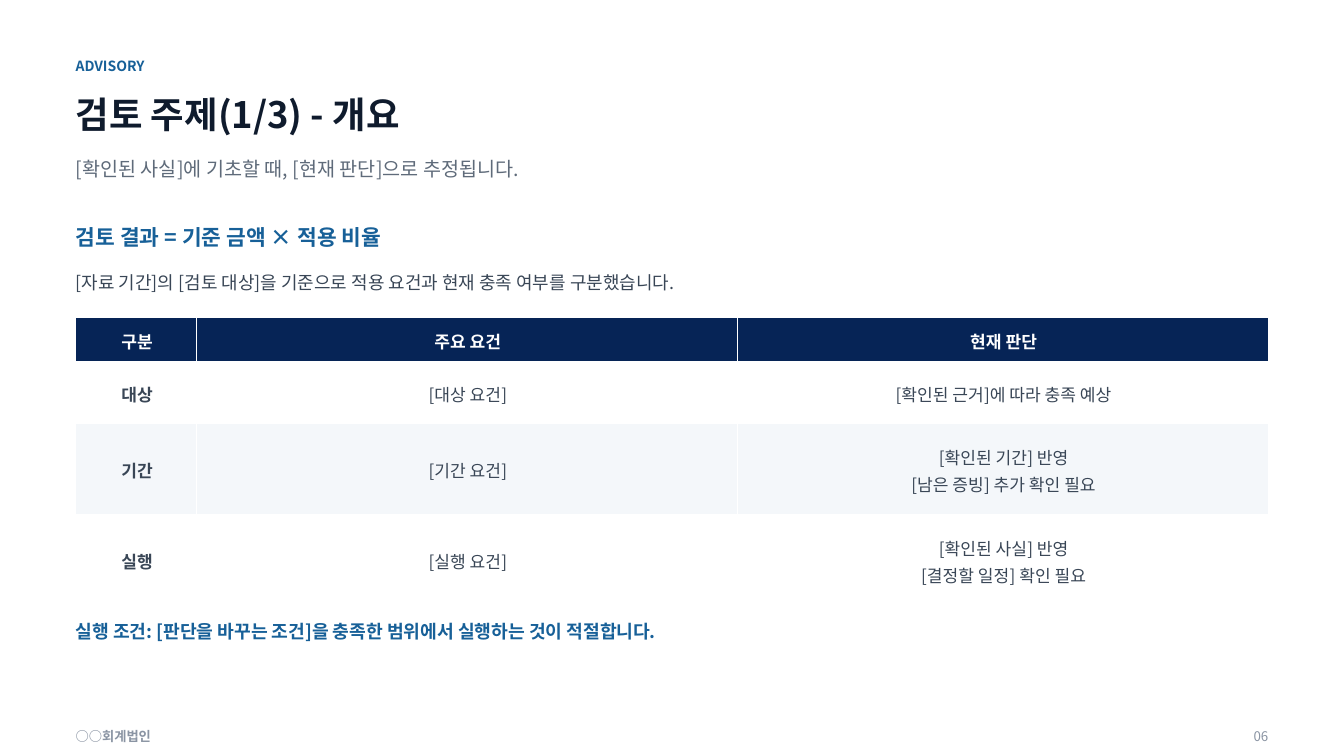
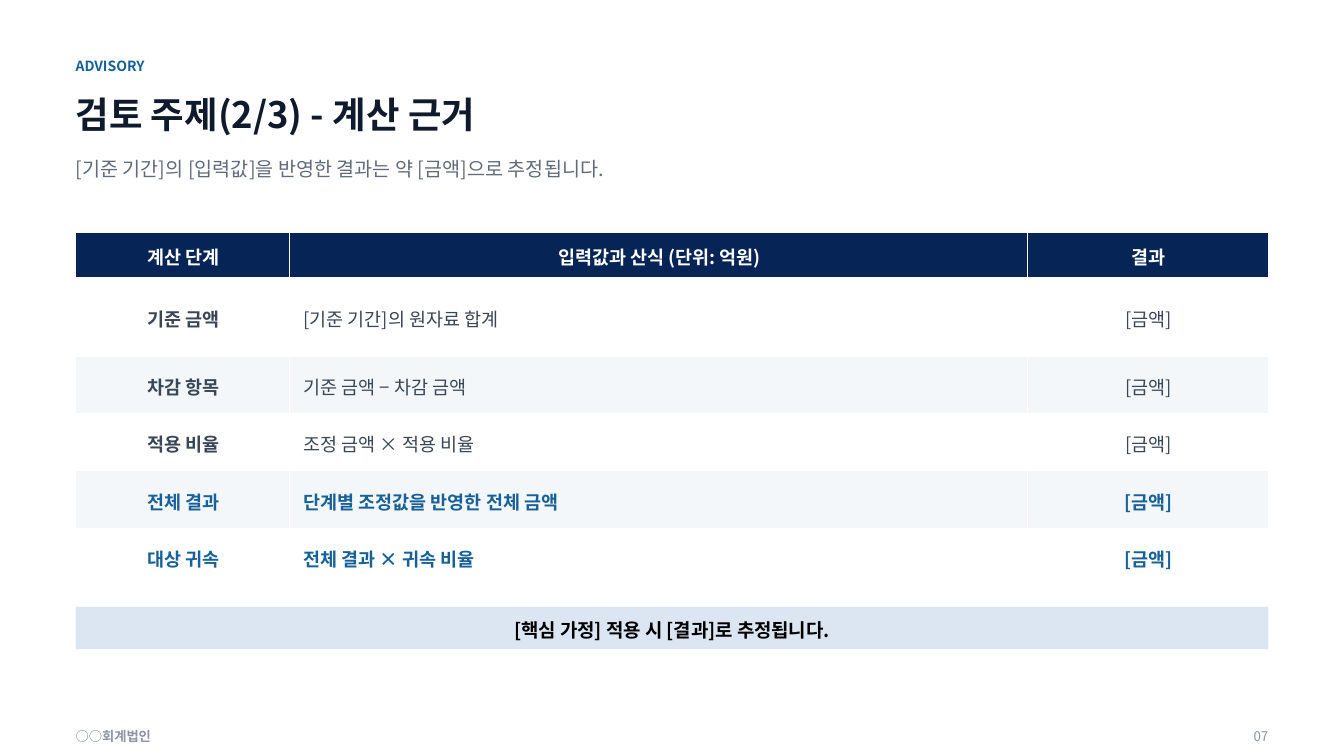
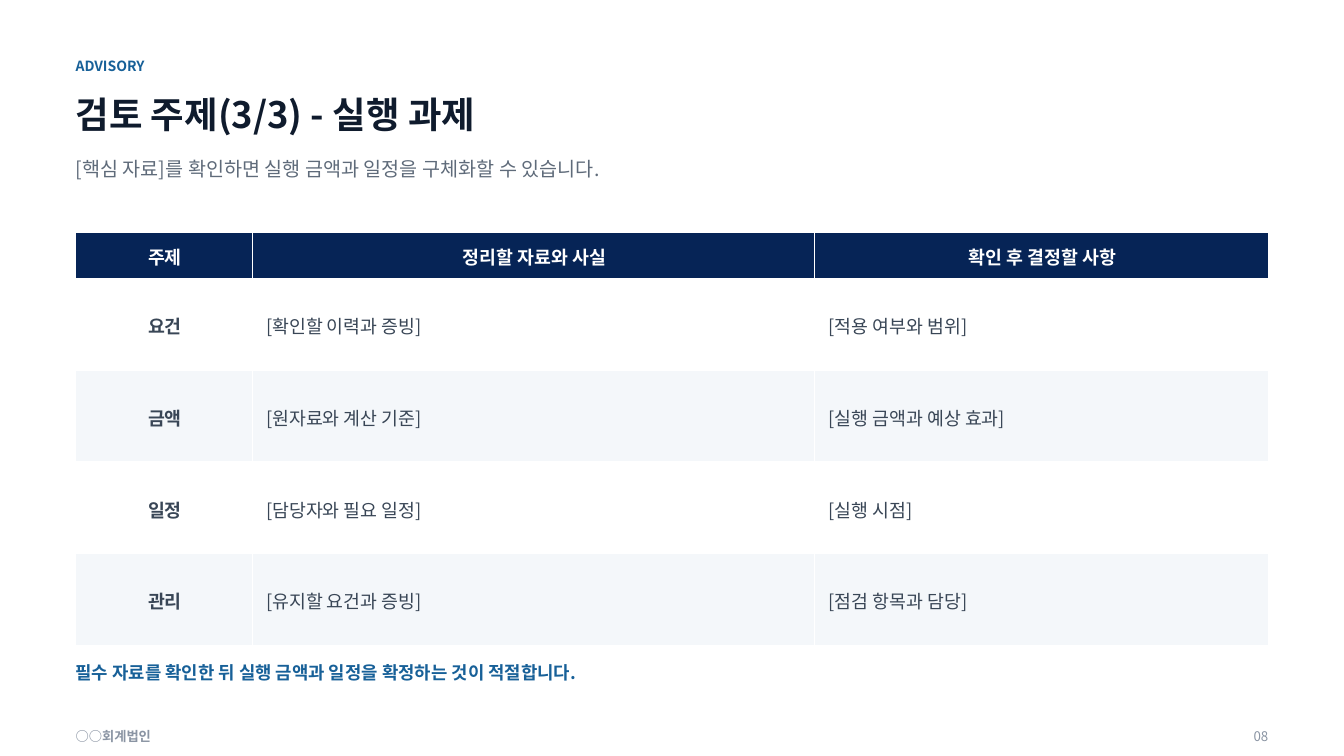
from lxml import etree
from pptx import Presentation
from pptx.dml.color import RGBColor
from pptx.enum.shapes import MSO_SHAPE
from pptx.enum.text import MSO_ANCHOR, MSO_AUTO_SIZE, PP_ALIGN
from pptx.oxml.ns import qn
from pptx.util import Pt

LEFT, CENTER, RIGHT = PP_ALIGN.LEFT, PP_ALIGN.CENTER, PP_ALIGN.RIGHT
TOP, MIDDLE = MSO_ANCHOR.TOP, MSO_ANCHOR.MIDDLE
RECTANGLE = MSO_SHAPE.RECTANGLE
NO_AUTOFIT = MSO_AUTO_SIZE.NONE
TITLE_ONLY = 5

PX = 9144  # 100 px to the inch
SLIDE_WIDTH, SLIDE_HEIGHT = 1333, 750
MARGIN, CONTENT_WIDTH = 75, 1183
CELL_INSETS = (14, 7, 12, 6)

FONT = "Noto Sans CJK KR"
NAVY, BLUE, PALE_BLUE = "062456", "176098", "DCE6F2"
INK, BODY, MUTED, FAINT = "0F1B2D", "394656", "5F6B7A", "8A94A3"
WHITE, STRIPE, BLACK = "FFFFFF", "F4F7FA", "000000"

SLIDES = [
    {
        "title": "검토 주제(1/3) - 개요",
        "summary": "[확인된 사실]에 기초할 때, [현재 판단]으로 추정됩니다.",
        "number": "06",
        "notes": [
            (218, 35, 15.3, BLUE, True, "검토 결과 = 기준 금액 × 적용 비율"),
            (266, 36, 12.8, BODY, False,
             "[자료 기간]의 [검토 대상]을 기준으로 적용 요건과 현재 충족 여부를 구분했습니다."),
            (612, 34, 13, BLUE, True,
             "실행 조건: [판단을 바꾸는 조건]을 충족한 범위에서 실행하는 것이 적절합니다."),
        ],
        "table_top": 315,
        "columns": [120, 536, 527],
        "row_heights": [43, 62, 90, 90],
        "alignments": [CENTER, CENTER, CENTER],
        "size": 12.2,
        "rows": [
            ["구분", "주요 요건", "현재 판단"],
            ["대상", "[대상 요건]", "[확인된 근거]에 따라 충족 예상"],
            ["기간", "[기간 요건]", "[확인된 기간] 반영\n[남은 증빙] 추가 확인 필요"],
            ["실행", "[실행 요건]", "[확인된 사실] 반영\n[결정할 일정] 확인 필요"],
        ],
    },
    {
        "title": "검토 주제(2/3) - 계산 근거",
        "summary": "[기준 기간]의 [입력값]을 반영한 결과는 약 [금액]으로 추정됩니다.",
        "number": "07",
        "banner": "[핵심 가정] 적용 시 [결과]로 추정됩니다.",
        "table_top": 230,
        "columns": [212, 732, 239],
        "row_heights": [45, 78] + [57] * 4,
        "alignments": [CENTER, LEFT, CENTER],
        "size": 13.2,
        "highlighted": [4, 5],
        "rows": [
            ["계산 단계", "입력값과 산식 (단위: 억원)", "결과"],
            ["기준 금액", "[기준 기간]의 원자료 합계", "[금액]"],
            ["차감 항목", "기준 금액 − 차감 금액", "[금액]"],
            ["적용 비율", "조정 금액 × 적용 비율", "[금액]"],
            ["전체 결과", "단계별 조정값을 반영한 전체 금액", "[금액]"],
            ["대상 귀속", "전체 결과 × 귀속 비율", "[금액]"],
        ],
    },
    {
        "title": "검토 주제(3/3) - 실행 과제",
        "summary": "[핵심 자료]를 확인하면 실행 금액과 일정을 구체화할 수 있습니다.",
        "number": "08",
        "notes": [
            (653, 38, 12.7, BLUE, True,
             "필수 자료를 확인한 뒤 실행 금액과 일정을 확정하는 것이 적절합니다."),
        ],
        "table_top": 230,
        "columns": [175, 558, 450],
        "row_heights": [46] + [91] * 4,
        "alignments": [CENTER, LEFT, LEFT],
        "size": 13.1,
        "rows": [
            ["주제", "정리할 자료와 사실", "확인 후 결정할 사항"],
            ["요건", "[확인할 이력과 증빙]", "[적용 여부와 범위]"],
            ["금액", "[원자료와 계산 기준]", "[실행 금액과 예상 효과]"],
            ["일정", "[담당자와 필요 일정]", "[실행 시점]"],
            ["관리", "[유지할 요건과 증빙]", "[점검 항목과 담당]"],
        ],
    },
]


def color(value):
    return RGBColor.from_string(value)


def write_text(frame, text, *, size, fill, bold=False, align=LEFT,
               spacing=1.15, space_after=3):
    """Fill a text frame, one paragraph to each line of text."""
    frame.text = text
    frame.word_wrap = True
    for paragraph in frame.paragraphs:
        paragraph.alignment = align
        paragraph.line_spacing = spacing
        paragraph.space_before = Pt(0)
        paragraph.space_after = Pt(space_after)
        for run in paragraph.runs:
            run.font.size = Pt(size)
            run.font.bold = bold
            run.font.color.rgb = color(fill)
            run.font.name = FONT
            properties = run._r.get_or_add_rPr()
            etree.SubElement(properties, qn("a:ea"), typeface=FONT)


presentation = Presentation()
presentation.slide_width = SLIDE_WIDTH * PX
presentation.slide_height = SLIDE_HEIGHT * PX

for content in SLIDES:
    slide = presentation.slides.add_slide(presentation.slide_layouts[TITLE_ONLY])

    title = slide.shapes.title
    title.left, title.top = MARGIN * PX, 85 * PX
    title.width, title.height = CONTENT_WIDTH * PX, 60 * PX
    frame = title.text_frame
    frame.auto_size = NO_AUTOFIT
    frame.vertical_anchor = TOP
    frame.margin_left = frame.margin_top = frame.margin_right = frame.margin_bottom = 0
    write_text(frame, content["title"], size=26, fill=INK, bold=True)

    labels = [
        (MARGIN, 55, 900, 25, "ADVISORY", dict(size=10, fill=BLUE, bold=True)),
        (MARGIN, 152, CONTENT_WIDTH, 63, content["summary"], dict(size=14, fill=MUTED)),
        (MARGIN, 720, 600, 22, "○○회계법인",
         dict(size=9.5, fill=FAINT, bold=True, space_after=0)),
        (MARGIN + CONTENT_WIDTH - 100, 720, 100, 22, content["number"],
         dict(size=9.5, fill=FAINT, align=RIGHT, space_after=2)),
    ]
    for top, height, size, fill, bold, text in content.get("notes", []):
        labels.append((MARGIN, top, CONTENT_WIDTH, height, text,
                       dict(size=size, fill=fill, bold=bold)))
    for left, top, width, height, text, text_format in labels:
        label = slide.shapes.add_textbox(left * PX, top * PX, width * PX, height * PX)
        frame = label.text_frame
        frame.margin_left = frame.margin_top = frame.margin_right = frame.margin_bottom = 0
        write_text(frame, text, **text_format)

    rows, columns, row_heights = content["rows"], content["columns"], content["row_heights"]
    table = slide.shapes.add_table(
        len(rows), len(columns), MARGIN * PX, content["table_top"] * PX,
        sum(columns) * PX, sum(row_heights) * PX).table
    table.horz_banding = False
    for column, width in zip(table.columns, columns):
        column.width = width * PX
    for row_index, row in enumerate(rows):
        table.rows[row_index].height = row_heights[row_index] * PX
        is_header = row_index == 0
        is_highlighted = row_index in content.get("highlighted", [])
        if is_header:
            background, text_color = NAVY, WHITE
        else:
            background = WHITE if row_index % 2 else STRIPE
            text_color = BLUE if is_highlighted else BODY
        for column_index, text in enumerate(row):
            cell = table.cell(row_index, column_index)
            cell.vertical_anchor = MIDDLE
            (cell.margin_left, cell.margin_top,
             cell.margin_right, cell.margin_bottom) = [inset * PX for inset in CELL_INSETS]
            write_text(
                cell.text_frame, text, size=content["size"], fill=text_color,
                bold=is_header or is_highlighted or column_index == 0,
                align=CENTER if is_header else content["alignments"][column_index],
                spacing=1.1, space_after=0)
            cell_properties = cell._tc.get_or_add_tcPr()
            for side in ("a:lnL", "a:lnR", "a:lnT", "a:lnB"):
                border = etree.SubElement(cell_properties, qn(side), w=str(Pt(0.5)))
                border_fill = etree.SubElement(border, qn("a:solidFill"))
                etree.SubElement(border_fill, qn("a:srgbClr"), val=WHITE)
            cell.fill.solid()
            cell.fill.fore_color.rgb = color(background)

    if "banner" in content:
        banner = slide.shapes.add_shape(
            RECTANGLE, MARGIN * PX, 602 * PX, CONTENT_WIDTH * PX, 42 * PX)
        banner.shadow.inherit = False
        banner.fill.solid()
        banner.fill.fore_color.rgb = color(PALE_BLUE)
        banner.line.fill.background()
        frame = banner.text_frame
        frame.vertical_anchor = MIDDLE
        frame.margin_left = frame.margin_top = frame.margin_right = frame.margin_bottom = 0
        write_text(frame, content["banner"], size=13.5, fill=BLACK, bold=True, align=CENTER)

presentation.save("out.pptx")
